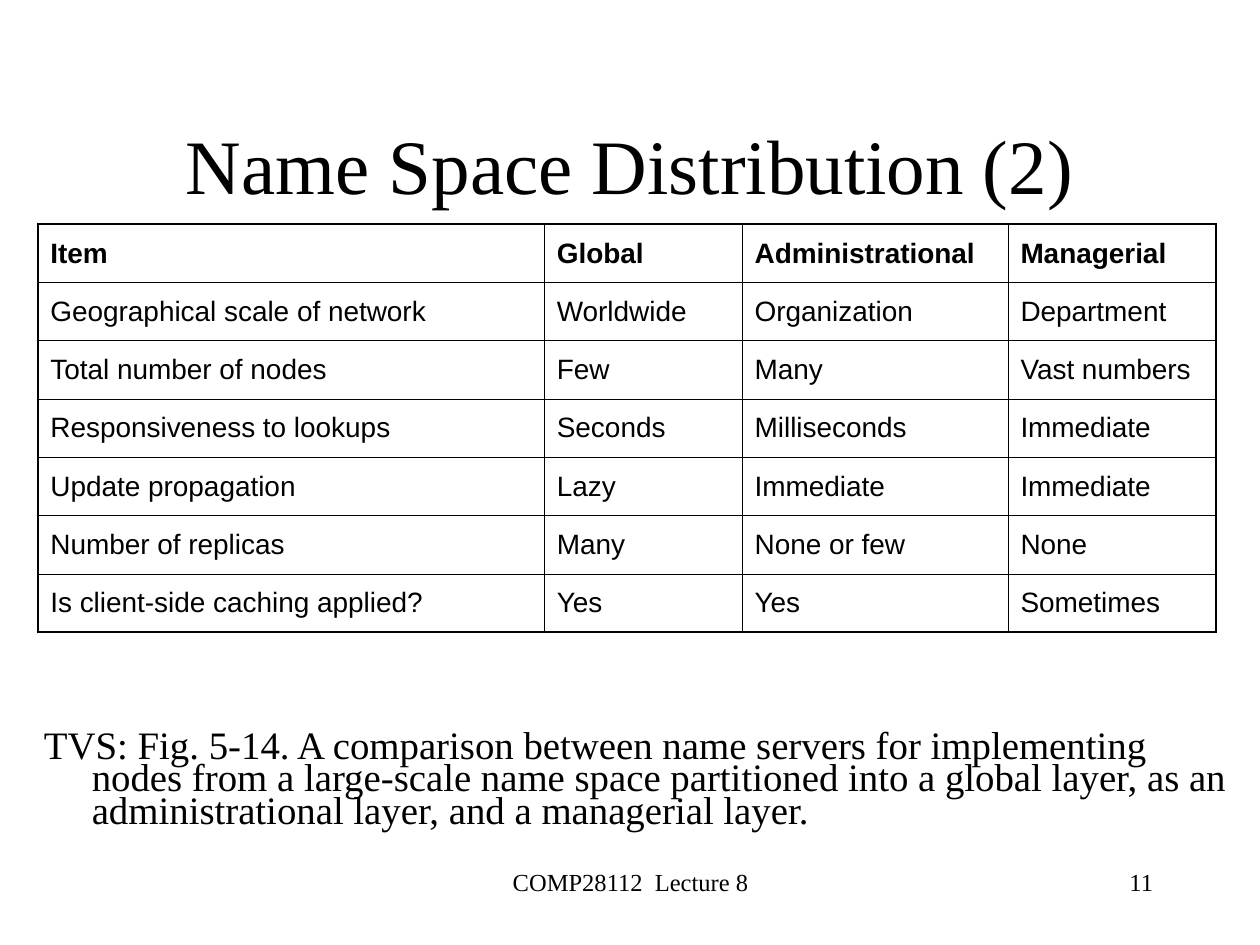
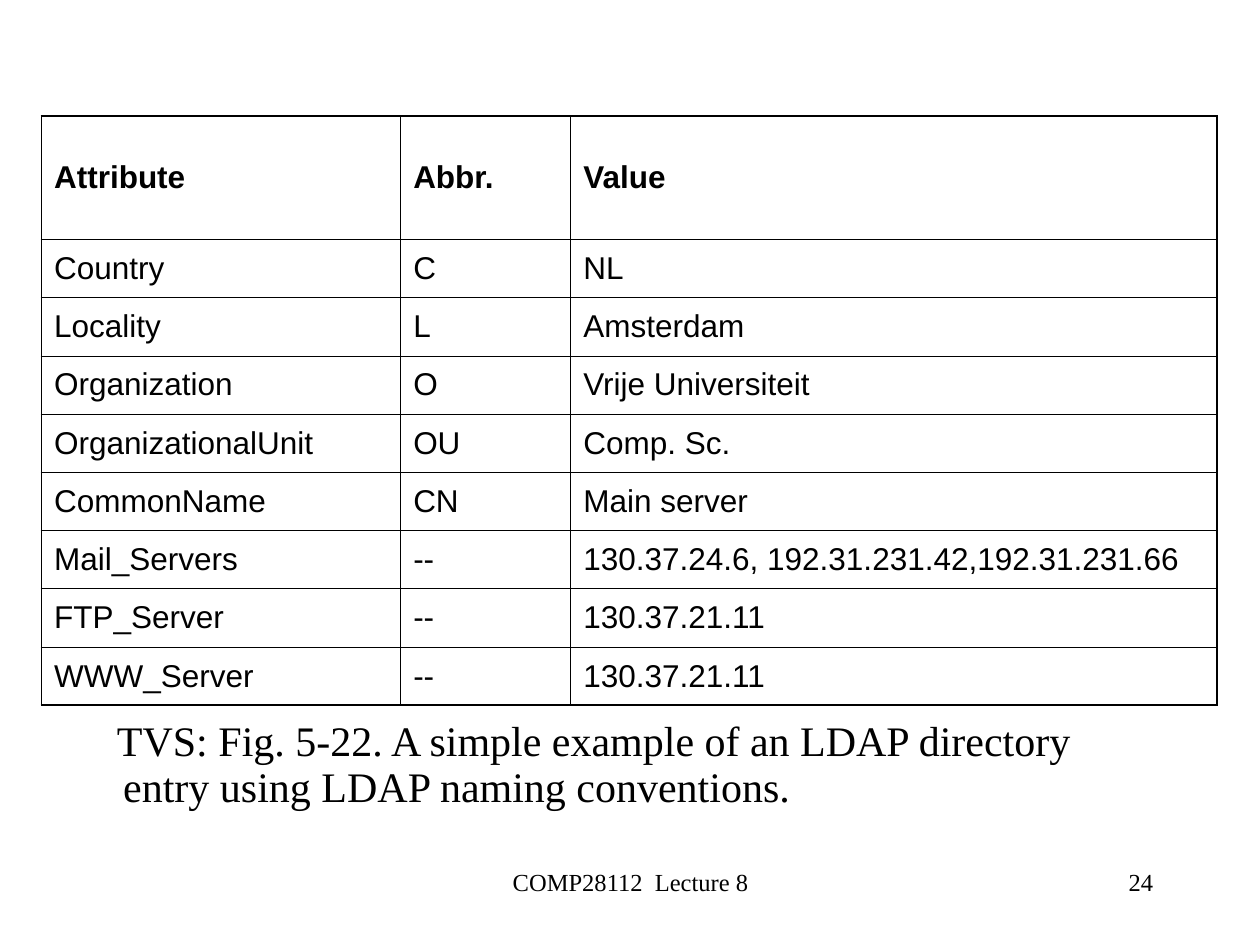
from lxml.etree import SubElement
from pptx import Presentation
from pptx.dml.color import RGBColor
from pptx.enum.text import MSO_ANCHOR, PP_ALIGN
from pptx.oxml.ns import qn
from pptx.util import Inches, Pt

# Content
FOOTER = "COMP28112  Lecture 8"
SLIDES = [
    {
        "title": "Name Space Distribution (2)",
        "number": "11",
        "table": {
            "box": (0.3, 1.78, 3.24), "head": 3.24 / 7, "size": 16,
            "cols": [4.02, 1.57, 2.11, 1.65],
            "rows": [
                ("Item", "Global", "Administrational", "Managerial"),
                ("Geographical scale of network", "Worldwide", "Organization", "Department"),
                ("Total number of nodes", "Few", "Many", "Vast numbers"),
                ("Responsiveness to lookups", "Seconds", "Milliseconds", "Immediate"),
                ("Update propagation", "Lazy", "Immediate", "Immediate"),
                ("Number of replicas", "Many", "None or few", "None"),
                ("Is client-side caching applied?", "Yes", "Yes", "Sometimes"),
            ],
        },
        "caption": "TVS: Fig. 5-14. A comparison between name servers for implementing "
                   "nodes from a large-scale name space partitioned into a global layer, as an "
                   "administrational layer, and a managerial layer.",
        "caption_box": (0.25, 5.77, 9.75, 0.92),
        "caption_format": {"size": 22.2, "spacing": 0.7, "first": -0.38},
    },
    {
        "number": "24",
        "table": {
            "box": (0.33, 0.92, 4.68), "head": 0.98, "size": 18,
            "cols": [2.85, 1.35, 5.13],
            "rows": [
                ("Attribute", "Abbr.", "Value"),
                ("Country", "C", "NL"),
                ("Locality", "L", "Amsterdam"),
                ("Organization", "O", "Vrije Universiteit"),
                ("OrganizationalUnit", "OU", "Comp. Sc."),
                ("CommonName", "CN", "Main server"),
                ("Mail_Servers", "--", "130.37.24.6, 192.31.231.42,192.31.231.66"),
                ("FTP_Server", "--", "130.37.21.11"),
                ("WWW_Server", "--", "130.37.21.11"),
            ],
        },
        "caption": "TVS: Fig. 5-22. A simple example of an LDAP directory entry "
                   "using LDAP naming conventions.",
        "caption_box": (0.5, 5.67, 8.17, 1),
        "caption_format": {"size": 24, "spacing": 0.9, "first": -0.05},
    },
]

# Shared style
INK = "000000"
SERIF, SANS = "Times New Roman", "Arial"
OUTER, INNER = 1.08, 0.45
TITLE_BOX = (0.75, 0.67, 8.5, 1.25)
FOOTER_BOX = (3.42, 6.83, 3.17, 0.5)
NUMBER_BOX = (7.17, 6.83, 2.08, 0.5)


def rgb(color):
    return RGBColor.from_string(color)


def write(tf, text, size, font=SERIF, color=INK, bold=False, align=PP_ALIGN.LEFT,
          spacing=None, left=0, first=0):
    p = tf.paragraphs[0]
    p.alignment = align
    if spacing:
        p.line_spacing = spacing
    if left:
        pPr = p._p.get_or_add_pPr()
        pPr.set("marL", str(Inches(left)))
        pPr.set("indent", str(Inches(first)))
    r = p.add_run()
    r.text = text
    r.font.name, r.font.size, r.font.bold = font, Pt(size), bold
    r.font.color.rgb = rgb(color)


def add_text(s, box, text, size, anchor=MSO_ANCHOR.TOP, **style):
    tf = s.shapes.add_textbox(*map(Inches, box)).text_frame
    tf.word_wrap = True
    tf.vertical_anchor = anchor
    write(tf, text, size, **style)


def set_borders(cell, widths):
    tcPr = cell._tc.get_or_add_tcPr()
    for side, width in zip("LRTB", widths):
        ln = SubElement(tcPr, qn(f"a:ln{side}"), w=str(Pt(width)))
        fill = SubElement(ln, qn("a:solidFill"))
        SubElement(fill, qn("a:srgbClr"), val=INK)


def add_grid(s, box, head, size, cols, rows):
    left, top, height = box
    last_row, last_col = len(rows) - 1, len(cols) - 1
    table = s.shapes.add_table(len(rows), len(cols), Inches(left), Inches(top),
                               Inches(sum(cols)), Inches(height)).table
    table.first_row = table.horz_banding = False
    for column, width in zip(table.columns, cols):
        column.width = Inches(width)
    for i, row in enumerate(rows):
        table.rows[i].height = Inches(head if i == 0 else (height - head) / last_row)
        for j, text in enumerate(row):
            cell = table.cell(i, j)
            # Heavy line on the outside, thin lines between cells
            edges = (j == 0, j == last_col, i == 0, i == last_row)
            set_borders(cell, [OUTER if edge else INNER for edge in edges])
            cell.fill.background()
            cell.vertical_anchor = MSO_ANCHOR.MIDDLE
            write(cell.text_frame, text, size, font=SANS, bold=i == 0)


def main():
    prs = Presentation()
    prs.slide_width, prs.slide_height = Inches(10), Inches(7.5)
    for content in SLIDES:
        s = prs.slides.add_slide(prs.slide_layouts[6])
        if "title" in content:
            add_text(s, TITLE_BOX, content["title"], 44, anchor=MSO_ANCHOR.MIDDLE,
                     align=PP_ALIGN.CENTER)
        add_text(s, content["caption_box"], content["caption"], left=0.38,
                 **content["caption_format"])
        add_grid(s, **content["table"])
        # Footer and slide number
        add_text(s, FOOTER_BOX, FOOTER, 14, align=PP_ALIGN.CENTER)
        add_text(s, NUMBER_BOX, content["number"], 14, align=PP_ALIGN.RIGHT)
    prs.save("out.pptx")


if __name__ == "__main__":
    main()
